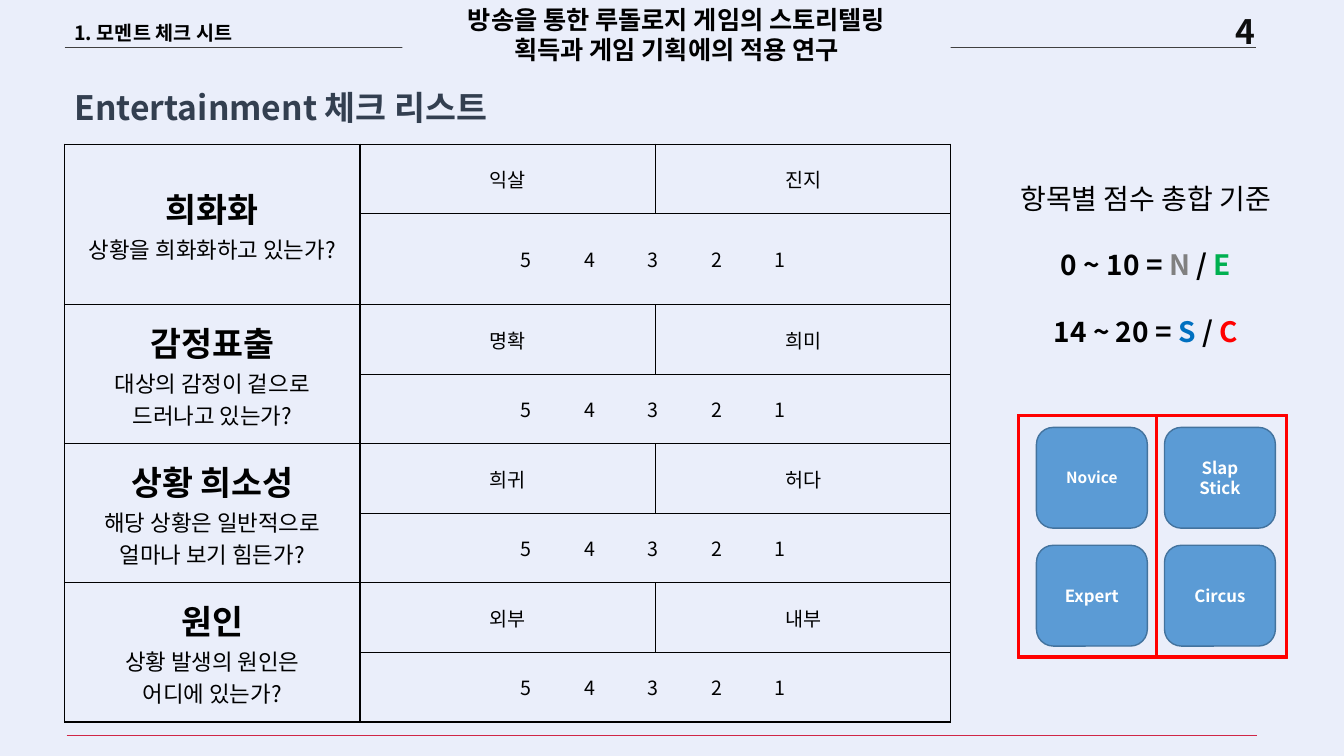
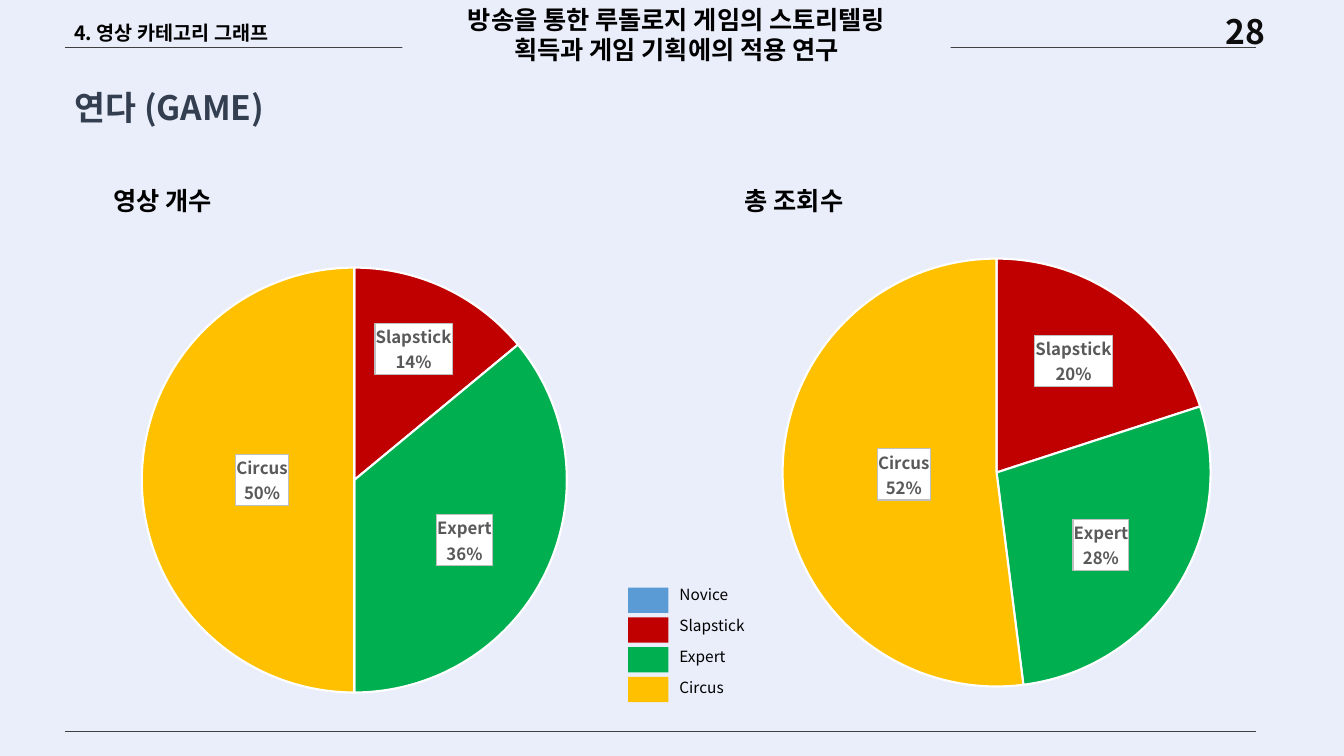
import pptx
import pptx.util
import pptx.chart.data
import pptx.dml.color
import pptx.enum.chart
import pptx.enum.shapes
import pptx.enum.text
import pptx.oxml
import pptx.oxml.ns

Inches = pptx.util.Inches
Pt = pptx.util.Pt
RGBColor = pptx.dml.color.RGBColor
Shape = pptx.enum.shapes.MSO_SHAPE
Align = pptx.enum.text.PP_ALIGN
Anchor = pptx.enum.text.MSO_ANCHOR
qn = pptx.oxml.ns.qn

FONT = "Noto Sans CJK KR"
LINE_FACTOR = 1.19
BACKGROUND = RGBColor(0xEA, 0xEE, 0xFA)
BLACK = RGBColor(0x00, 0x00, 0x00)
WHITE = RGBColor(0xFF, 0xFF, 0xFF)
NUMBER_INK = RGBColor(0x0D, 0x0D, 0x0D)
TITLE_INK = RGBColor(0x33, 0x3F, 0x50)
RULE_GRAY = RGBColor(0x40, 0x40, 0x40)
RULE_RED = RGBColor(0xD0, 0x26, 0x46)
RED = RGBColor(0xFF, 0x00, 0x00)
GRAY = RGBColor(0x80, 0x80, 0x80)
SKY = RGBColor(0x00, 0x70, 0xC0)
BLUE = RGBColor(0x5B, 0x9B, 0xD5)
BLUE_EDGE = RGBColor(0x43, 0x73, 0x9E)
CRIMSON = RGBColor(0xC0, 0x00, 0x00)
GREEN = RGBColor(0x00, 0xB0, 0x50)
GOLD = RGBColor(0xFF, 0xC0, 0x00)

STUDY_TITLE = "방송을 통한 루돌로지 게임의 스토리텔링\v획득과 게임 기획에의 적용 연구"
CATEGORIES = {"Novice": BLUE, "Slapstick": CRIMSON, "Expert": GREEN, "Circus": GOLD}
CHECKS = [
    ("희화화", ["상황을 희화화하고 있는가?"], "익살", "진지"),
    ("감정표출", ["대상의 감정이 겉으로", "드러나고 있는가?"], "명확", "희미"),
    ("상황 희소성", ["해당 상황은 일반적으로", "얼마나 보기 힘든가?"], "희귀", "허다"),
    ("원인", ["상황 발생의 원인은", "어디에 있는가?"], "외부", "내부"),
]
CHART_NS = (
    'xmlns:c="http://schemas.openxmlformats.org/drawingml/2006/chart" '
    'xmlns:a="http://schemas.openxmlformats.org/drawingml/2006/main"'
)


def apply(target, values):
    for name, value in values.items():
        setattr(target, name, value)


def add_span(para, text, size, color=BLACK, bold=False):
    for index, part in enumerate(text.split("\v")):
        if index:
            para.add_line_break()
        span = para.add_run()
        span.text = part
        apply(span.font, {"name": FONT, "size": Pt(size), "bold": bold})
        span.font.color.rgb = color
        east_asian = pptx.oxml.parse_xml(
            f'<a:ea {pptx.oxml.ns.nsdecls("a")} typeface="{FONT}"/>')
        span.font._element.append(east_asian)


def get_paragraph(frame, index):
    return frame.add_paragraph() if index else frame.paragraphs[0]


def write(shape, lines, size, color=BLACK, bold=True, align=Align.CENTER, anchor=Anchor.TOP):
    frame = shape.text_frame
    apply(frame, {"word_wrap": True, "auto_size": pptx.enum.text.MSO_AUTO_SIZE.NONE,
                  "vertical_anchor": anchor})
    for index, line in enumerate(lines):
        para = get_paragraph(frame, index)
        apply(para, {"alignment": align, "line_spacing": Pt(size * LINE_FACTOR)})
        add_span(para, line, size, color, bold)


def add_text(page, place, text, size, **style):
    box = page.shapes.add_textbox(*map(Inches, place))
    write(box, [text], size, **style)
    return box


def add_block(page, kind, place, fill, edge=None):
    block = page.shapes.add_shape(kind, *map(Inches, place))
    block.shadow.inherit = False
    block.fill.solid()
    block.fill.fore_color.rgb = fill
    if edge is None:
        block.line.fill.background()
    else:
        block.line.color.rgb = edge
        block.line.width = Pt(1)
    return block


def add_rule(page, left, right, top, color):
    rule = page.shapes.add_connector(
        pptx.enum.shapes.MSO_CONNECTOR.STRAIGHT,
        Inches(left), Inches(top), Inches(right), Inches(top))
    rule.line.color.rgb = color
    rule.line.width = Pt(0.5)
    rule._element.spPr.append(
        pptx.oxml.parse_xml(f'<a:effectLst {pptx.oxml.ns.nsdecls("a")}/>'))


def add_page(deck, title, section, number):
    page = deck.slides.add_slide(deck.slide_layouts[5])
    apply(page.shapes.title, {"left": Inches(0.64), "top": Inches(0.6),
                              "width": Inches(4.48), "height": Inches(0.71)})
    write(page.shapes.title, [title], 24, TITLE_INK, align=Align.LEFT, anchor=Anchor.BOTTOM)
    add_text(page, (11.55, 0.06, 1.61, 0.4), number, 24, color=NUMBER_INK)
    add_rule(page, 0.64, 12.46, 0.47, RULE_GRAY)
    banner = add_block(page, Shape.RECTANGLE, (3.99, 0, 5.44, 0.71), BACKGROUND)
    write(banner, [STUDY_TITLE], 18)
    label = add_text(page, (0.64, 0.06, 3.16, 0.41), section, 14,
                     align=Align.LEFT, anchor=Anchor.BOTTOM)
    label.text_frame.margin_bottom = Inches(0.03)
    return page


def outline_cell(cell):
    cell.vertical_anchor = Anchor.MIDDLE
    cell.fill.background()
    properties = cell._tc.get_or_add_tcPr()
    for index, side in enumerate(("lnL", "lnR", "lnT", "lnB")):
        properties.insert(index, pptx.oxml.parse_xml(
            f'<a:{side} {pptx.oxml.ns.nsdecls("a")} w="12700"><a:solidFill>'
            f'<a:srgbClr val="{BLACK}"/></a:solidFill></a:{side}>'))


def write_cell(cell, lines):
    for index, (text, size, bold) in enumerate(lines):
        para = get_paragraph(cell.text_frame, index)
        para.alignment = Align.CENTER
        add_span(para, text, size, bold=bold)


def write_scores(cell):
    para = cell.text_frame.paragraphs[0]
    para.alignment = Align.LEFT
    stops = "".join(f'<a:tab pos="{Inches(1.55 + 0.63 * step)}" algn="ctr"/>'
                    for step in range(5))
    para._p.get_or_add_pPr().append(pptx.oxml.parse_xml(
        f'<a:tabLst {pptx.oxml.ns.nsdecls("a")}>{stops}</a:tabLst>'))
    add_span(para, "".join(f"\t{score}" for score in range(5, 0, -1)), 14)


def add_checklist(page):
    heights = [0.69, 0.76] + [0.69] * 6
    table = page.shapes.add_table(
        len(heights), 3, Inches(0.64), Inches(1.43), Inches(8.79), Inches(sum(heights))).table
    apply(table, {"first_row": False, "horz_banding": False})
    for column in table.columns:
        column.width = Inches(2.93)
    for row, height in zip(table.rows, heights):
        row.height = Inches(height)
    for cell in table.iter_cells():
        outline_cell(cell)
    for index, (name, question, high, low) in enumerate(CHECKS):
        top = index * 2
        table.cell(top, 0).merge(table.cell(top + 1, 0))
        table.cell(top + 1, 1).merge(table.cell(top + 1, 2))
        write_cell(table.cell(top, 0),
                   [(name, 24, True)] + [(line, 16, False) for line in question])
        write_cell(table.cell(top, 1), [(high, 14, False)])
        write_cell(table.cell(top, 2), [(low, 14, False)])
        write_scores(table.cell(top + 1, 1))


def add_criteria(page):
    box = add_text(page, (9.86, 1.75, 3.01, 1.78), "항목별 점수 총합 기준", 20, bold=False)
    for spans in (
        [("0 ~ 10 = ", BLACK), ("N ", GRAY), ("/ ", BLACK), ("E", GREEN)],
        [("14 ~ 20 = ", BLACK), ("S ", SKY), ("/ ", BLACK), ("C", RED)],
    ):
        para = box.text_frame.add_paragraph()
        apply(para, {"alignment": Align.CENTER, "line_spacing": Pt(20 * LINE_FACTOR),
                     "space_before": Pt(24)})
        for text, color in spans:
            add_span(para, text, 20, color, True)


def add_grade_grid(page):
    grades = [(["Novice"], 11), (["Slap", "Stick"], 12), (["Expert"], 12), (["Circus"], 12)]
    for index, (lines, size) in enumerate(grades):
        row, column = divmod(index, 2)
        tile = add_block(page, Shape.ROUNDED_RECTANGLE,
                         (10.28 + 1.27 * column, 4.24 + 1.17 * row, 1.1, 1), BLUE, BLUE_EDGE)
        write(tile, lines, size, WHITE, anchor=Anchor.MIDDLE)
    for left, width in ((10.09, 1.39), (11.46, 1.31)):
        frame = add_block(page, Shape.FRAME, (left, 4.11, width, 2.42), RED, RED)
        frame.adjustments[0] = 0.016


def pie_labels(offsets):
    look = (
        '<c:numFmt formatCode="0%" sourceLinked="0"/>'
        '<c:spPr><a:solidFill><a:srgbClr val="FFFFFF"/></a:solidFill>'
        '<a:ln w="9525"><a:solidFill><a:srgbClr val="BFBFBF"/></a:solidFill></a:ln></c:spPr>'
        '<c:txPr><a:bodyPr/><a:p><a:pPr><a:defRPr sz="1200" b="1">'
        '<a:solidFill><a:srgbClr val="595959"/></a:solidFill>'
        f'<a:latin typeface="{FONT}"/><a:ea typeface="{FONT}"/></a:defRPr></a:pPr>'
        '<a:endParaRPr lang="ko-KR"/></a:p></c:txPr><c:dLblPos val="ctr"/>'
        '<c:showLegendKey val="0"/><c:showVal val="0"/><c:showCatName val="1"/>'
        '<c:showSerName val="0"/><c:showPercent val="1"/><c:showBubbleSize val="0"/>'
        '<c:separator>\n</c:separator>')
    points = "".join(
        f'<c:dLbl><c:idx val="{index}"/><c:layout><c:manualLayout><c:x val="{across}"/>'
        f'<c:y val="{down}"/></c:manualLayout></c:layout>{look}</c:dLbl>'
        for index, (across, down) in enumerate(offsets, 1))
    return pptx.oxml.parse_xml(
        f'<c:dLbls {CHART_NS}><c:dLbl><c:idx val="0"/><c:delete val="1"/></c:dLbl>'
        f'{points}{look}<c:showLeaderLines val="0"/></c:dLbls>')


def set_plot_area(chart, area):
    plot_area = chart._chartSpace.find(".//" + qn("c:plotArea"))
    for layout in plot_area.findall(qn("c:layout")):
        plot_area.remove(layout)
    sizes = "".join(f'<c:{key} val="{value}"/>' for key, value in zip("xywh", area))
    plot_area.insert(0, pptx.oxml.parse_xml(
        f'<c:layout {CHART_NS}><c:manualLayout><c:layoutTarget val="inner"/>'
        f'<c:xMode val="edge"/><c:yMode val="edge"/>{sizes}</c:manualLayout></c:layout>'))


def add_pie(page, left, values, area, offsets):
    data = pptx.chart.data.CategoryChartData()
    data.categories = list(CATEGORIES)
    data.add_series("Series 1", values)
    chart = page.shapes.add_chart(
        pptx.enum.chart.XL_CHART_TYPE.PIE,
        Inches(left), Inches(2.06), Inches(6.96), Inches(4.96), data).chart
    apply(chart, {"has_legend": False, "has_title": False})
    apply(chart.font, {"name": FONT, "size": Pt(10), "bold": True})
    chart.font.color.rgb = BLACK
    chart.plots[0].vary_by_categories = True
    series = chart.plots[0].series[0]
    for index, color in enumerate(CATEGORIES.values()):
        style = series.points[index].format
        style.fill.solid()
        style.fill.fore_color.rgb = color
        style.line.color.rgb = WHITE
        style.line.width = Pt(1.5)
    series._element.find(qn("c:cat")).addprevious(pie_labels(offsets))
    set_plot_area(chart, area)


def add_legend(page):
    for index, (name, color) in enumerate(CATEGORIES.items()):
        add_block(page, Shape.RECTANGLE, (6.23, 5.83 + 0.295 * index, 0.4, 0.25), color)
        add_text(page, (6.64, 5.76 + 0.305 * index, 0.93, 0.29), name, 11,
                 bold=False, align=Align.LEFT)


def main():
    deck = pptx.Presentation()
    deck.slide_width, deck.slide_height = Inches(13.33), Inches(7.5)
    deck.slide_master.background.fill.solid()
    deck.slide_master.background.fill.fore_color.rgb = BACKGROUND

    page = add_page(deck, "Entertainment 체크 리스트", "1. 모멘트 체크 시트", "4")
    add_rule(page, 0.66, 12.47, 7.3, RULE_RED)
    add_checklist(page)
    add_criteria(page)
    add_grade_grid(page)

    page = add_page(deck, "연다 (GAME)", "4. 영상 카테고리 그래프", "28")
    add_rule(page, 0.64, 12.46, 7.26, RULE_GRAY)
    add_pie(page, 0, (0, 14, 36, 50), (0.2, 0.12, 0.61, 0.85),
            [(0.02, -0.07), (0.02, 0.03), (0.02, 0)])
    add_pie(page, 6.37, (0, 20, 28, 52), (0.2, 0.1, 0.61, 0.86),
            [(0.02, -0.05), (0.02, 0.03), (0.02, -0.01)])
    for left, caption in ((0.64, "영상 개수"), (6.9, "총 조회수")):
        add_text(page, (left, 1.79, 1.95, 0.4), caption, 18)
    add_legend(page)
    deck.save("out.pptx")


if __name__ == "__main__":
    main()
